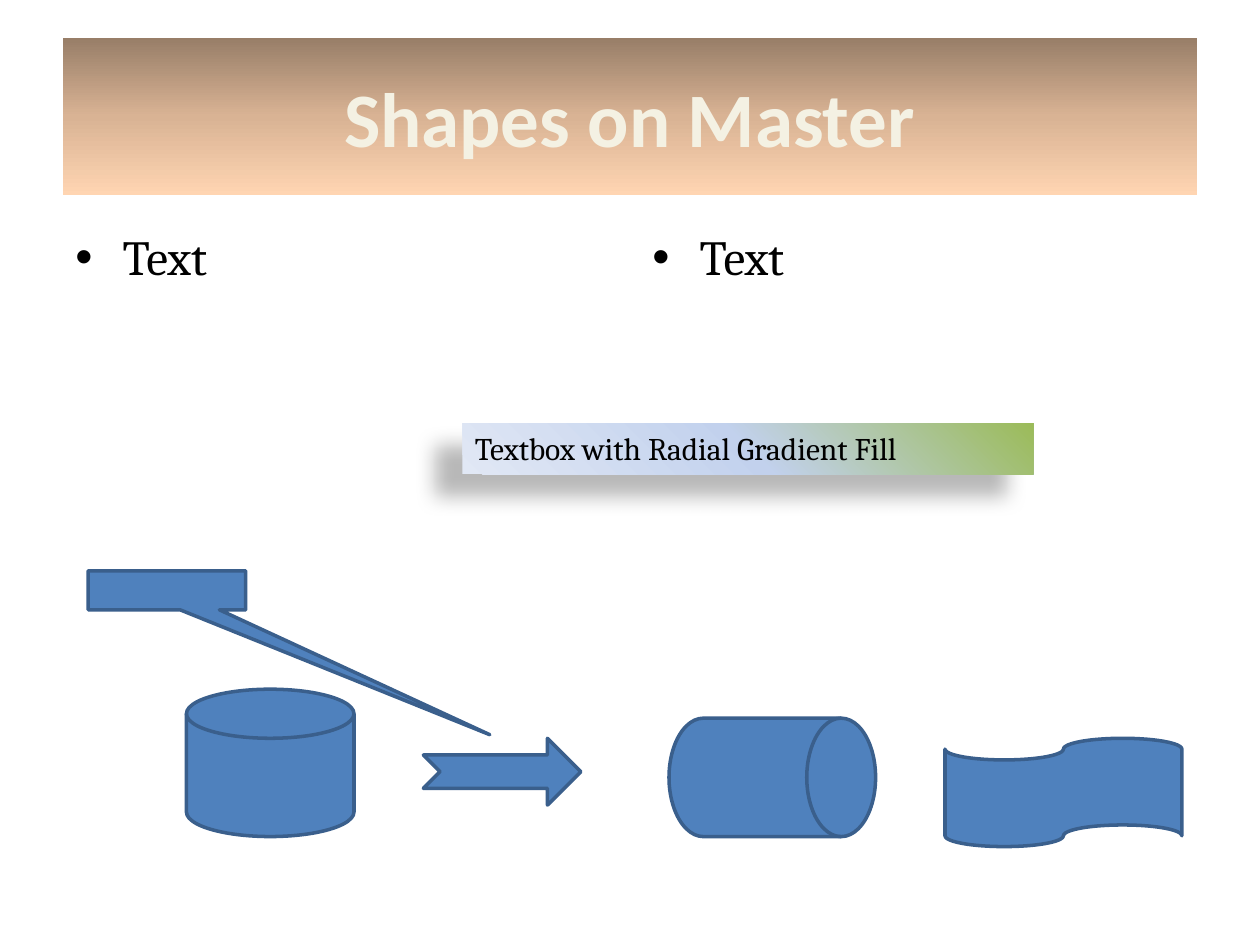
"""Build a slide of master shapes, two text columns and a gradient text box."""
from lxml.etree import SubElement
from pptx import Presentation
from pptx.dml.color import RGBColor
from pptx.enum.shapes import MSO_SHAPE
from pptx.enum.text import MSO_ANCHOR, MSO_AUTO_SIZE, PP_ALIGN
from pptx.oxml.ns import qn
from pptx.util import Pt

HUES = {
    "blue": "4F81BD", "edge": "3A5F8C", "cream": "F4F1E3", "navy": "054697",
    "black": "000000", "brown": "987E68", "tan": "D9B394", "peach": "FFD5B2",
    "green": "9BBB59", "sky": "C2D1ED", "pale": "E1E8F5",
}


def blend(shape, names):
    shape.fill.gradient()
    grad = shape.fill._xPr.find(qn("a:gradFill"))
    grad.clear()
    stops = SubElement(grad, qn("a:gsLst"))
    for i, name in enumerate(names):
        stop = SubElement(stops, qn("a:gs"), pos=str(i * 50000))
        SubElement(stop, qn("a:srgbClr"), val=HUES[name])
    return grad


def style(para, face, size, hue):
    para.font.name = face
    para.font.size = Pt(size)
    para.font.color.rgb = RGBColor.from_string(HUES[hue])


deck = Presentation()
deck.slide_width, deck.slide_height = Pt(720), Pt(540)
slide = deck.slides.add_slide(deck.slide_layouts[5])
shapes = slide.shapes

forms = [
    (MSO_SHAPE.FLOWCHART_MAGNETIC_DISK, 106.56, 393.84, 95.76, 84.24),
    (MSO_SHAPE.NOTCHED_RIGHT_ARROW, 241.92, 421.92, 90, 38.16),
    (MSO_SHAPE.FLOWCHART_DIRECT_ACCESS_STORAGE, 382.32, 410.4, 118.08, 67.68),
    (MSO_SHAPE.FLOWCHART_PUNCHED_TAPE, 540, 421.92, 135.36, 61.92),
    (MSO_SHAPE.RECTANGULAR_CALLOUT, 50.4, 326.16, 90, 22.32),
]
for kind, *place in forms:
    form = shapes.add_shape(kind, *map(Pt, place))
    form.shadow.inherit = False
    form.fill.solid()
    form.fill.fore_color.rgb = RGBColor.from_string(HUES["blue"])
    form.line.color.rgb = RGBColor.from_string(HUES["edge"])
    form.line.width = Pt(2)
    if kind == MSO_SHAPE.RECTANGULAR_CALLOUT:
        form.adjustments[0], form.adjustments[1] = 2.05, 3.7

title = shapes.title
title.left, title.top, title.width, title.height = map(Pt, (36, 21.6, 648, 90))
grad = blend(title, ["brown", "tan", "peach"])
SubElement(grad, qn("a:lin"), ang="5400000", scaled="0")
title.text_frame.text = "Shapes on Master"
title.text_frame.vertical_anchor = MSO_ANCHOR.MIDDLE
para = title.text_frame.paragraphs[0]
para.alignment = PP_ALIGN.CENTER
style(para, "Calibri", 44, "cream")
para.font.bold = True
props = para.runs[0].font._element
line = SubElement(props, qn("a:ln"), w="12700")
fill = SubElement(line, qn("a:solidFill"))
SubElement(fill, qn("a:srgbClr"), val=HUES["navy"])

for left in (36, 365.76):
    body = shapes.add_textbox(Pt(left), Pt(126), Pt(318.24), Pt(356.4))
    body.text_frame.word_wrap = True
    para = body.text_frame.paragraphs[0]
    para.text = "Text"
    props = para._p.get_or_add_pPr()
    props.set("marL", str(Pt(27)))
    props.set("indent", str(-Pt(27)))
    SubElement(props, qn("a:buFont"), typeface="Arial")
    SubElement(props, qn("a:buChar"), char="•")
    style(para, "Cambria", 28, "black")

label = shapes.add_textbox(Pt(264.24), Pt(241.92), Pt(326.16), Pt(29.08))
grad = blend(label, ["green", "sky", "pale"])
focus = SubElement(grad, qn("a:path"), path="circle")
SubElement(focus, qn("a:fillToRect"), l="100000", b="100000")
label.shadow.inherit = False
effects = label._element.spPr.find(qn("a:effectLst"))
shade = SubElement(effects, qn("a:outerShdw"), blurRad=str(Pt(11.8)),
                   dist=str(Pt(19.7)), dir="8460000", algn="tl", rotWithShape="0")
tint = SubElement(shade, qn("a:srgbClr"), val=HUES["black"])
SubElement(tint, qn("a:alpha"), val="28000")
label.text_frame.word_wrap = True
label.text_frame.auto_size = MSO_AUTO_SIZE.SHAPE_TO_FIT_TEXT
para = label.text_frame.paragraphs[0]
para.text = "Textbox with Radial Gradient Fill"
style(para, "Cambria", 18, "black")

deck.save("out.pptx")
